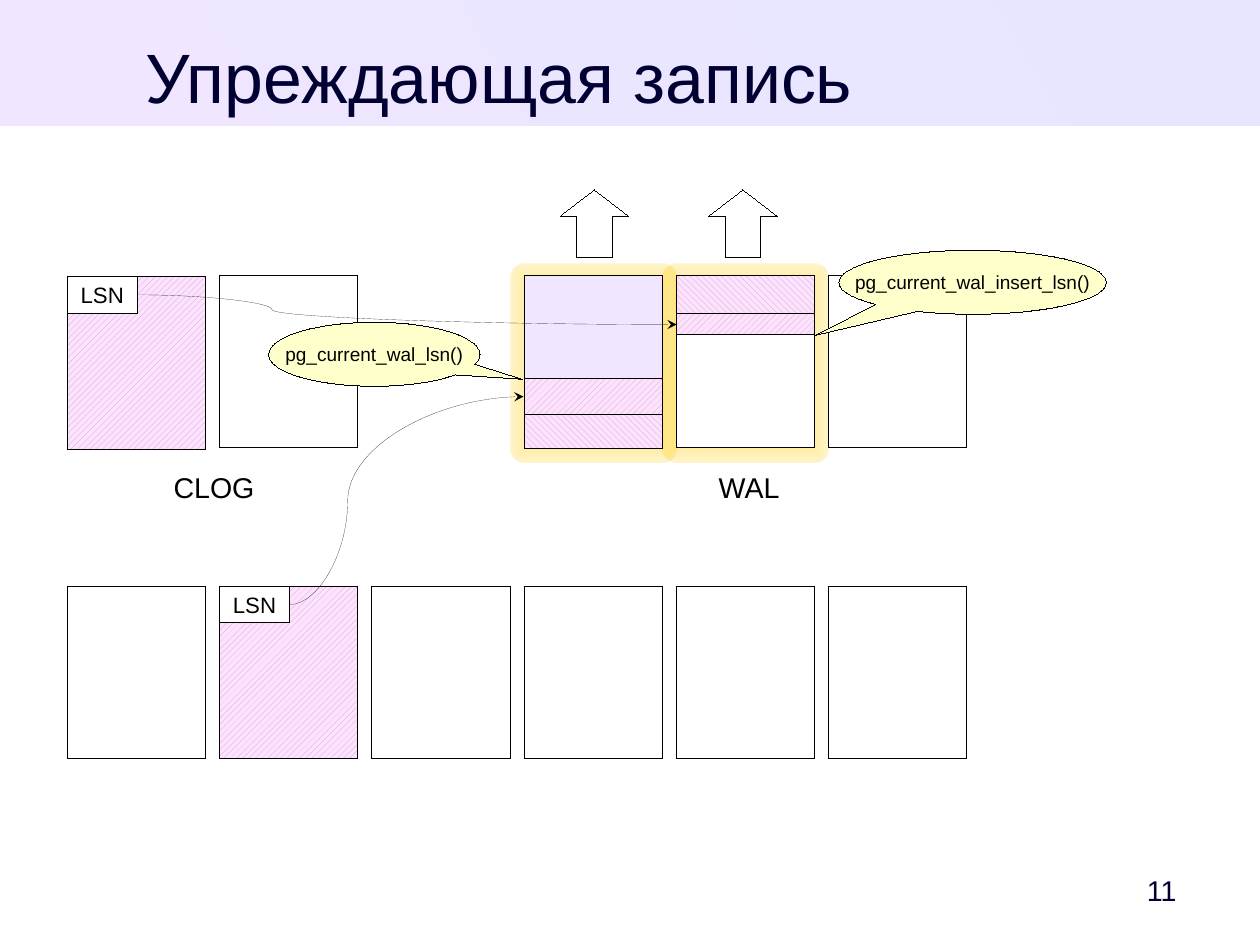
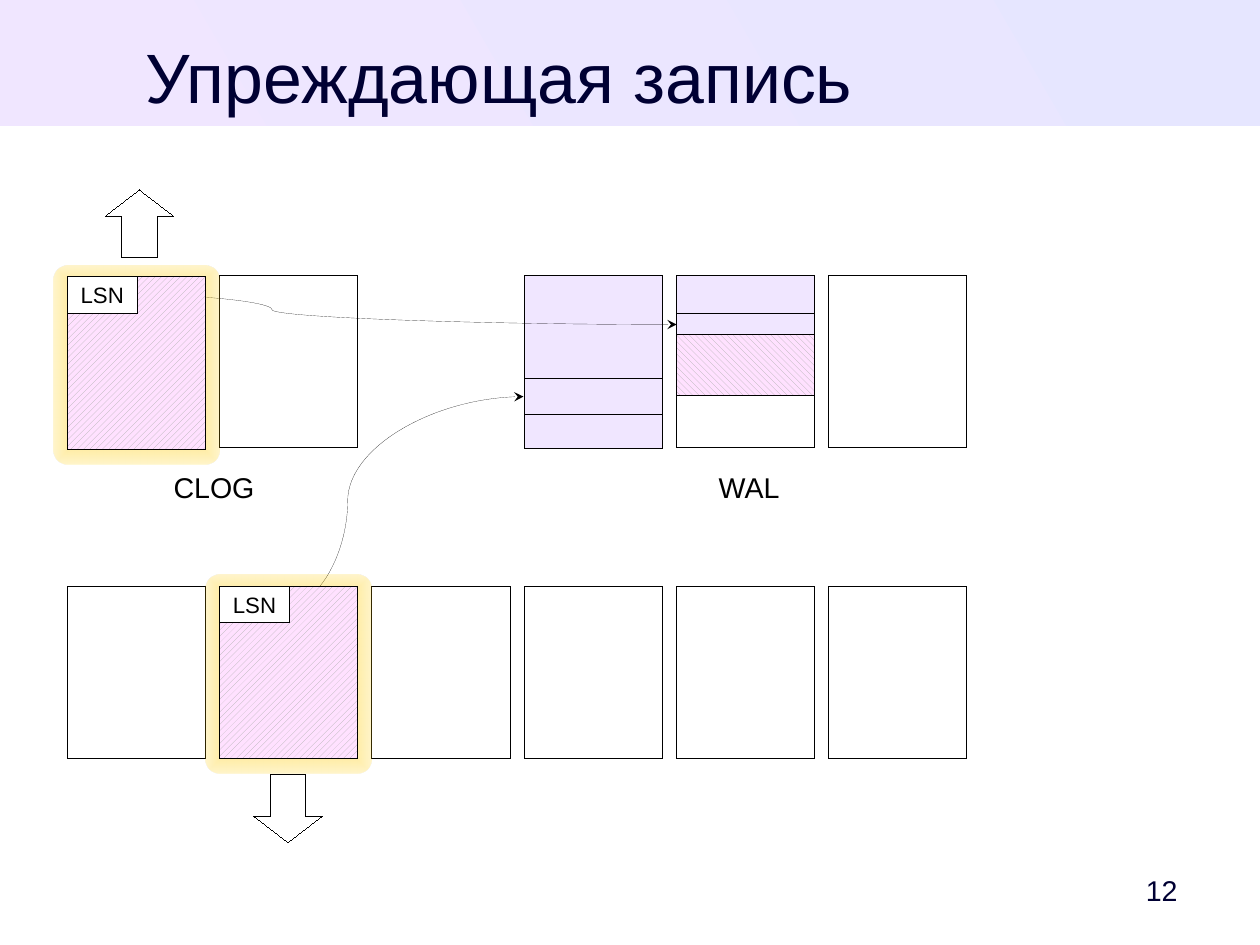
import pptx
import pptx.util
import pptx.dml.color
import pptx.enum.dml
import pptx.enum.shapes
import pptx.enum.text
import pptx.oxml
import pptx.oxml.ns
from lxml import etree

Inches = pptx.util.Inches
Shape = pptx.enum.shapes.MSO_SHAPE
Align = pptx.enum.text.PP_ALIGN
Anchor = pptx.enum.text.MSO_ANCHOR
Pattern = pptx.enum.dml.MSO_PATTERN
qn = pptx.oxml.ns.qn

COLOURS = {
    "black": "000000", "white": "FFFFFF", "navy": "000033",
    "band_start": "E6E6FF", "lavender": "F0E6FF", "pink": "FFE1FF",
    "hatch": "B2B2B2", "glow": "FFCC00", "callout": "FFFFCC",
}
HATCHES = {
    "up": Pattern.WIDE_UPWARD_DIAGONAL,
    "down": Pattern.WIDE_DOWNWARD_DIAGONAL,
}

# Grid of memory pages
PAGE_WIDTH, PAGE_HEIGHT = 1.21, 1.51
FIRST_LEFT, LAST_LEFT, COLUMNS = 0.59, 7.25, 6
BUFFER_TOP, DATA_TOP = 2.41, 5.13
GLOW_SIDE, GLOW_RISE, GLOW_HEIGHT = 0.12, 0.1, 1.74
ARROW_WIDTH, ARROW_HEIGHT = 0.6, 0.59
CLOG, DATA = (0, 2.42), (1, DATA_TOP)  # changed pages: column, top

# WAL records: column, top, height
RECORDS = [(3, 3.31, 0.32), (3, 3.63, 0.29), (4, 2.41, 0.33), (4, 2.74, 0.19)]
NEW_RECORD = (4, 2.93, 0.53)


def column_left(column):
    return FIRST_LEFT + column * (LAST_LEFT - FIRST_LEFT) / (COLUMNS - 1)


def colour(name):
    return pptx.dml.color.RGBColor.from_string(COLOURS[name])


def write(frame, text, size=18, ink="black", align=Align.LEFT,
          anchor=Anchor.TOP, insets=(0.1, 0.05, 0.1, 0.05), wrap=True):
    frame.word_wrap = wrap
    frame.vertical_anchor = anchor
    (frame.margin_left, frame.margin_top,
     frame.margin_right, frame.margin_bottom) = map(Inches, insets)
    para = frame.paragraphs[0]
    para.alignment = align
    span = para.add_run()
    span.text = text
    span.font.name = "Arial"
    span.font.size = pptx.util.Pt(size)
    span.font.color.rgb = colour(ink)


class Painter:
    def __init__(self):
        self.deck = pptx.Presentation()
        # 28 by 21 cm is the exact metric page size
        self.deck.slide_width = pptx.util.Cm(28)
        self.deck.slide_height = pptx.util.Cm(21)
        self.deck.element.sldSz.attrib.pop("type", None)
        self.slide = None

    def start(self, title, number):
        """Add a slide with its band, title and number."""
        self.slide = self.deck.slides.add_slide(self.deck.slide_layouts[6])
        band = self.shape(Shape.RECTANGLE, 0, 0, 11.02, 1.1, outline=False)
        band.width = self.deck.slide_width
        self.gradient(band, "band_start", "lavender")
        band.fill.gradient_angle = 210
        self.label(title, 0.47, 0.29, 7.8, 0.69, size=44, ink="navy",
                   align=Align.CENTER, insets=(0, 0, 0, 0))
        self.label(str(number), 9.68, 7.55, 0.87, 0.47, ink="navy",
                   align=Align.CENTER, anchor=Anchor.MIDDLE,
                   insets=(0.1, 0.05, 0, 0.05))

    def label(self, text, left, top, width, height, **style):
        box = self.slide.shapes.add_textbox(
            *map(Inches, (left, top, width, height)))
        write(box.text_frame, text, **style)

    def hairline(self, shape):
        """Thinnest black line, free of the theme's line width."""
        shape._element.remove(shape._element.find(qn("p:style")))
        shape.line.color.rgb = colour("black")
        shape.line.width = pptx.util.Pt(0)

    def shape(self, kind, left, top, width, height, fill="white",
              outline=True, adjust=()):
        """Add a preset shape; fill is a colour or a hatch name."""
        shape = self.slide.shapes.add_shape(
            kind, *map(Inches, (left, top, width, height)))
        shape.shadow.inherit = False
        for index, value in enumerate(adjust):
            shape.adjustments[index] = value
        if fill in HATCHES:
            shape.fill.patterned()
            shape.fill.pattern = HATCHES[fill]
            shape.fill.fore_color.rgb = colour("hatch")
            shape.fill.back_color.rgb = colour("pink")
        else:
            shape.fill.solid()
            shape.fill.fore_color.rgb = colour(fill)
        if outline:
            self.hairline(shape)
        else:
            shape.line.fill.background()
        return shape

    def gradient(self, shape, first, last):
        shape.fill.gradient()
        for stop, name in zip(shape.fill.gradient_stops, (first, last)):
            stop.color.rgb = colour(name)

    def page(self, column, top, fill="white"):
        self.shape(Shape.RECTANGLE, column_left(column), top,
                   PAGE_WIDTH, PAGE_HEIGHT, fill)

    def changed_page(self, column, top):
        self.page(column, top, "up")
        tag = self.shape(Shape.RECTANGLE, column_left(column), top, 0.61, 0.32)
        write(tag.text_frame, "LSN", size=14, align=Align.CENTER,
              anchor=Anchor.MIDDLE, wrap=False)

    def record(self, column, top, height, fill):
        self.shape(Shape.RECTANGLE, column_left(column), top,
                   PAGE_WIDTH, height, fill)

    def glow(self, column, top):
        """Halo around a page that is being written to disk."""
        halo = self.shape(
            Shape.ROUNDED_RECTANGLE, column_left(column) - GLOW_SIDE,
            top - GLOW_RISE, PAGE_WIDTH + 2 * GLOW_SIDE, GLOW_HEIGHT,
            outline=False, adjust=(0.09,))
        self.gradient(halo, "glow", "glow")
        # Fade from the centre to a transparent edge
        element = halo._element.spPr.find(qn("a:gradFill"))
        edge = element.findall(".//" + qn("a:srgbClr"))[-1]
        etree.SubElement(edge, qn("a:alpha"), val="20000")
        element.replace(element.find(qn("a:lin")), pptx.oxml.parse_xml(
            '<a:path %s path="rect"><a:fillToRect l="50000" t="50000" '
            'r="50000" b="50000"/></a:path>' % pptx.oxml.ns.nsdecls("a")))

    def write_arrow(self, centre, top, kind=Shape.UP_ARROW):
        self.shape(kind, centre - ARROW_WIDTH / 2, top, ARROW_WIDTH,
                   ARROW_HEIGHT, adjust=(0.52, 0.39))

    def callout(self, text, left, top, width, tip):
        bubble = self.shape(Shape.OVAL_CALLOUT, left, top, width, 0.56,
                            "callout", adjust=tip)
        write(bubble.text_frame, text, size=12, align=Align.CENTER,
              anchor=Anchor.MIDDLE, wrap=False)

    def curve(self, start, end):
        """Curved arrow that turns at a quarter of its width."""
        line = self.slide.shapes.add_connector(
            pptx.enum.shapes.MSO_CONNECTOR.CURVE, *map(Inches, start + end))
        self.hairline(line)
        properties = line._element.spPr
        guides = properties.find(qn("a:prstGeom")).get_or_add_avLst()
        etree.SubElement(guides, qn("a:gd"), name="adj1", fmla="val 25000")
        etree.SubElement(properties.find(qn("a:ln")), qn("a:tailEnd"),
                         type="stealth")
        etree.SubElement(properties, qn("a:effectLst"))

    def buffers(self):
        """Pages and captions common to both states."""
        for column in (0, 2, 3, 4, 5):
            self.page(column, DATA_TOP)
        for column in (1, 4, 5):
            self.page(column, BUFFER_TOP)
        self.page(3, BUFFER_TOP, "lavender")
        self.label("CLOG", 1.42, 4.06, 1.1, 0.38)
        self.label("WAL", 6.19, 4.06, 0.77, 0.38)

    def lsn_links(self):
        self.curve((1.2, 2.58), (5.92, 2.84))
        self.curve((2.53, 5.29), (4.58, 3.47))


def wal_write(painter):
    """The log reaches the disk first."""
    for column, centre in ((3, 5.2), (4, 6.5)):
        painter.write_arrow(centre, 1.66)
        painter.glow(column, BUFFER_TOP)
    painter.buffers()
    for page in (DATA, CLOG):
        painter.changed_page(*page)
    for record, hatch in zip(RECORDS, ("up", "down", "down", "up")):
        painter.record(*record, hatch)
    painter.lsn_links()
    painter.callout("pg_current_wal_insert_lsn()", 7.34, 2.19, 2.34,
                    (-0.59, 0.83))
    painter.callout("pg_current_wal_lsn()", 2.35, 2.82, 1.85, (0.7, 0.39))


def page_write(painter):
    """Changed pages follow the log."""
    painter.write_arrow(2.52, 6.78, Shape.DOWN_ARROW)
    painter.write_arrow(1.22, 1.66)
    painter.buffers()
    for record in RECORDS:
        painter.record(*record, "lavender")
    painter.record(*NEW_RECORD, "down")
    painter.lsn_links()
    for page in (CLOG, DATA):
        painter.glow(*page)
        painter.changed_page(*page)


def main():
    painter = Painter()
    for number, build in enumerate((wal_write, page_write), start=11):
        painter.start("Упреждающая запись", number)
        build(painter)
    painter.deck.save("out.pptx")


if __name__ == "__main__":
    main()
